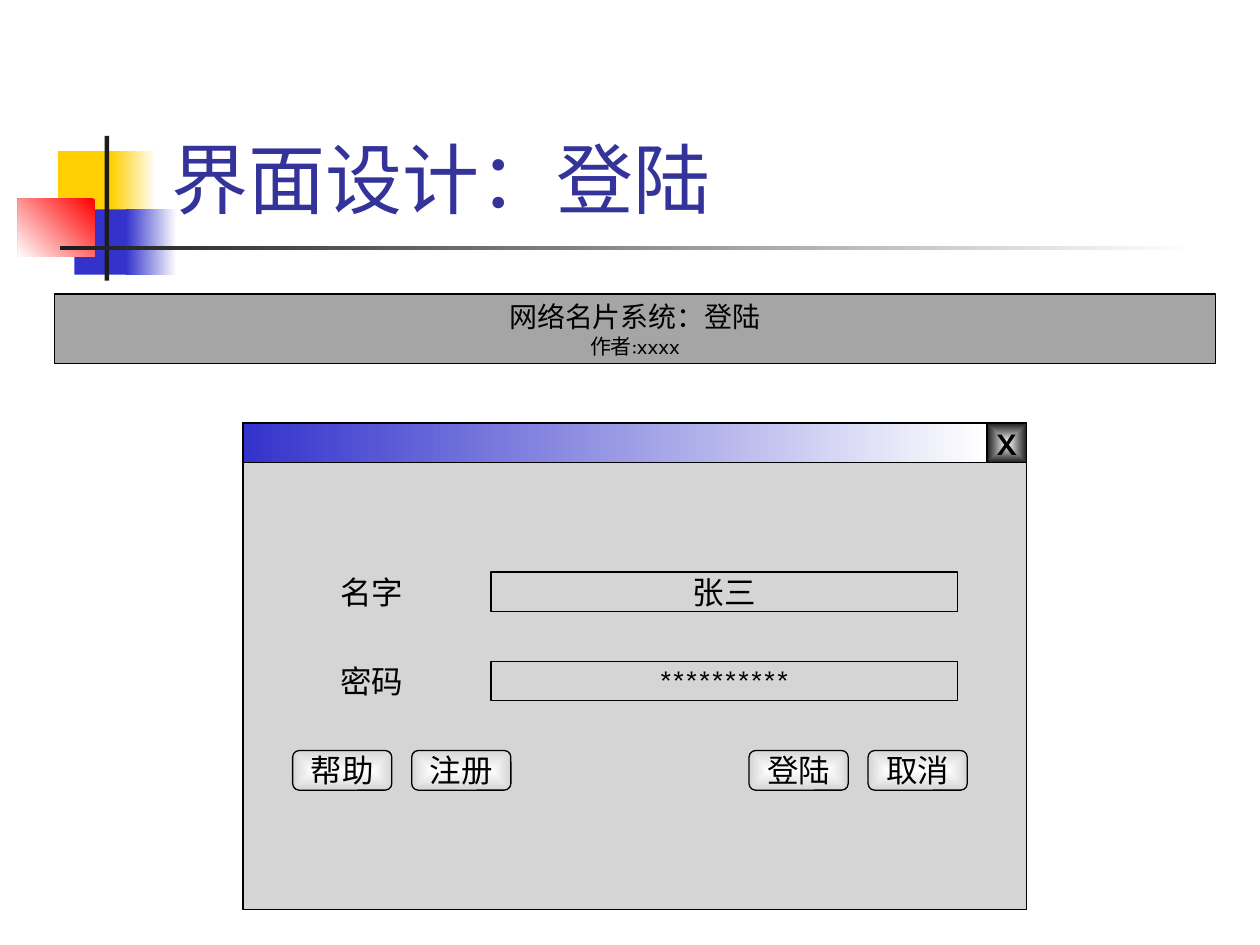
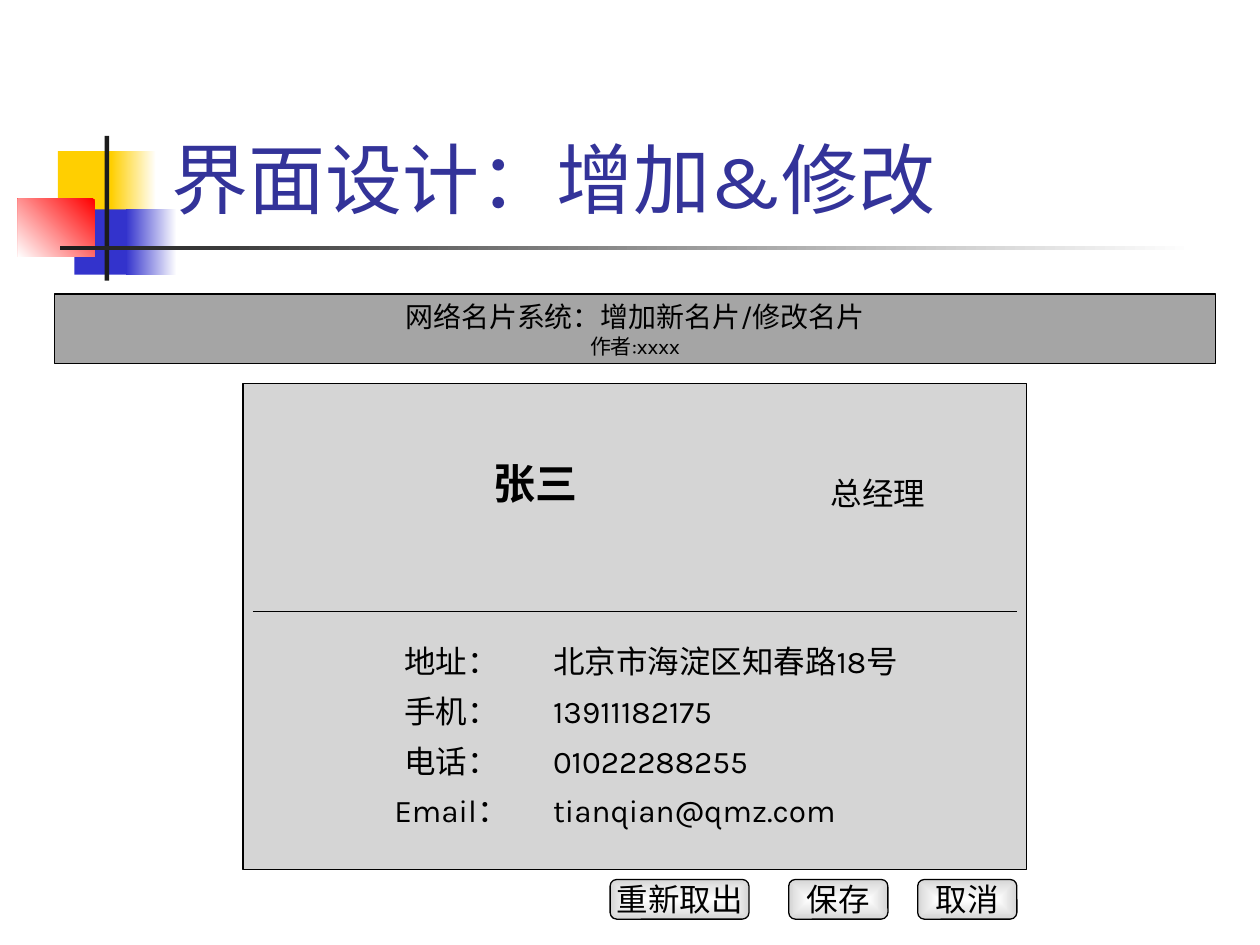
"""Builds two interface design slides: a login window and a business card form."""
from dataclasses import dataclass

from lxml import etree
from pptx import Presentation
from pptx import util as u
from pptx.dml.color import RGBColor
from pptx.enum import shapes, text
from pptx.oxml.ns import qn


@dataclass(frozen=True)
class Theme:
    """Colours, type sizes and line width of the deck."""
    font: str = "Karla"
    title: str = "333399"
    ink: str = "000000"
    white: str = "FFFFFF"
    dark: str = "1C1C1C"
    yellow: str = "FFCF01"
    blue: str = "3333CC"
    red: str = "FF0000"
    panel: str = "D5D5D5"
    band: str = "A5A5A5"
    title_size: int = 44
    name_size: int = 24
    body_size: int = 18
    band_size: int = 16
    note_size: int = 12
    line: float = 0.75


class Deck:
    """Holds the style and the current slide; all lengths are in centimetres."""
    ROW = 0.8        # height of fields and buttons
    LEFT = 4.9       # left edge of windows
    WIDTH = 15.8     # width of windows
    HEIGHT = 9.8     # height of windows

    def __init__(self, theme):
        """Start an empty 4:3 presentation."""
        self.theme = theme
        self.prs = Presentation()
        self.prs.slide_width, self.prs.slide_height = u.Cm(25.4), u.Cm(19.05)
        self.layout = self.prs.slide_layouts[5]
        self.slide = None

    def new_slide(self, title, heading):
        """Add a slide with its title and the grey heading band."""
        t = self.theme
        first = self.slide is None
        self.slide = self.prs.slides.add_slide(self.layout)
        if first:
            self.motif()
        sp = self.slide.shapes.title
        sp.left, sp.top, sp.width, sp.height = map(u.Cm, (3.2, 0.58, 21.64, 4.06))
        self.label(sp, [title], [t.title_size], t.title, text.PP_ALIGN.LEFT)
        sp.text_frame.vertical_anchor = text.MSO_ANCHOR.BOTTOM
        sp.text_frame.word_wrap = True
        sp.text_frame.auto_size = text.MSO_AUTO_SIZE.NONE
        sp = self.box(1.1, 5.93, 23.4, 1.4, t.band, t.ink)
        self.label(sp, [heading, "作者:xxxx"], [t.band_size, t.note_size])

    def motif(self):
        """Draw the coloured squares and rules and move them to the layout."""
        t = self.theme
        parts = [
            self.box(1.17, 3.05, 1.22, 1.32, t.yellow),
            self.fade(self.box(2.24, 3.05, 0.91, 1.32), t.white, t.yellow),
            self.box(1.5, 4.22, 1.17, 1.32, t.blue),
            self.fade(self.box(2.54, 4.22, 1.02, 1.32), t.white, t.blue),
            self.fade(self.box(0.36, 4.01, 1.55, 1.17), t.red, t.white, 225),
            self.box(2.11, 2.74, 0.09, 2.92, t.dark),
            self.fade(self.box(1.22, 4.95, 22.86, 0.09), t.white, t.dark),
        ]
        for number, sp in enumerate(parts, 101):
            sp.element.nvSpPr.cNvPr.set("id", str(number))
            self.layout.shapes.element.append(sp.element)

    def box(self, x, y, w, h, fill=None, line=None,
            kind=shapes.MSO_SHAPE.RECTANGLE):
        """Add a preset shape with a plain fill and an optional outline."""
        sp = self.slide.shapes.add_shape(kind, *map(u.Cm, (x, y, w, h)))
        sp.shadow.inherit = False
        if fill:
            sp.fill.solid()
            sp.fill.fore_color.rgb = RGBColor.from_string(fill)
        if line:
            sp.line.color.rgb = RGBColor.from_string(line)
            sp.line.width = u.Pt(self.theme.line)
        else:
            sp.line.fill.background()
        return sp

    def fade(self, sp, start, end, angle=180):
        """Fill a shape with a two-colour gradient; angle None runs from the centre."""
        sp.fill.gradient()
        for stop, colour, position in zip(sp.fill.gradient_stops, (start, end), (0, 1)):
            stop.color.rgb = RGBColor.from_string(colour)
            stop.position = position
        if angle is not None:
            sp.fill.gradient_angle = angle
            return sp
        grad = sp.element.spPr.find(qn("a:gradFill"))
        grad.remove(grad.find(qn("a:lin")))
        centre = etree.SubElement(grad, qn("a:path"), {"path": "rect"})
        etree.SubElement(centre, qn("a:fillToRect"), dict.fromkeys("ltrb", "50000"))
        return sp

    def label(self, sp, lines, sizes, colour=None, align=text.PP_ALIGN.CENTER,
              bold=False):
        """Put one paragraph per line into a shape and format its runs."""
        tf = sp.text_frame
        tf.text = "\n".join(lines)
        tf.word_wrap = False
        tf.vertical_anchor = text.MSO_ANCHOR.MIDDLE
        for p, size in zip(tf.paragraphs, sizes):
            p.alignment = align
            for r in p.runs:
                r.font.name, r.font.size, r.font.bold = self.theme.font, u.Pt(size), bold
                r.font.color.rgb = RGBColor.from_string(colour or self.theme.ink)

    def window(self, y):
        """Add the grey panel of a window."""
        self.box(self.LEFT, y, self.WIDTH, self.HEIGHT, self.theme.panel, self.theme.ink)

    def title_bar(self, y):
        """Add a blue window bar with its close button."""
        t = self.theme
        bar = self.WIDTH - self.ROW
        self.fade(self.box(self.LEFT, y, bar, self.ROW, line=t.ink), t.white, t.blue)
        sp = self.box(self.LEFT + bar, y, self.ROW, self.ROW, line=t.ink)
        self.fade(sp, t.white, t.dark, None)
        self.label(sp, ["X"], [t.body_size], bold=True)

    def field(self, x, y, w, words, line=None, align=text.PP_ALIGN.CENTER):
        """Add a one-line label or input field."""
        sp = self.box(x, y, w, self.ROW, self.theme.panel, line)
        self.label(sp, [words], [self.theme.body_size], align=align)

    def name(self, x, y, words):
        """Add the large bold name on a card."""
        sp = self.box(x, y, 9.4, 1.6, self.theme.panel)
        self.label(sp, [words], [self.theme.name_size], bold=True)

    def button(self, x, y, words, w=2):
        """Add a rounded push button."""
        t = self.theme
        sp = self.box(x, y, w, self.ROW, line=t.ink,
                      kind=shapes.MSO_SHAPE.ROUNDED_RECTANGLE)
        self.fade(sp, t.white, t.panel, None)
        self.label(sp, [words], [t.body_size])

    def rule(self, x1, x2, y):
        """Add a thin horizontal line."""
        c = self.slide.shapes.add_connector(
            shapes.MSO_CONNECTOR.STRAIGHT, *map(u.Cm, (x1, y, x2, y)))
        c.line.color.rgb = RGBColor.from_string(self.theme.ink)
        c.line.width = u.Pt(self.theme.line)
        etree.SubElement(c.element.spPr, qn("a:effectLst"))


def login_slide(deck):
    """Login window with two fields and four buttons."""
    deck.new_slide("界面设计：登陆", "网络名片系统：登陆")
    deck.window(8.53)
    deck.title_bar(8.53)
    for i, (label, value) in enumerate([("名字", "张三"), ("密码", "*" * 10)]):
        y = 11.53 + 1.8 * i
        deck.field(5.9, y, 3.2, label)
        deck.field(9.9, y, 9.4, value, deck.theme.ink)
    for x, words in [(5.9, "帮助"), (8.3, "注册"), (15.1, "登陆"), (17.5, "取消")]:
        deck.button(x, 15.13, words)


def card_slide(deck):
    """Business card form with contact rows and three buttons."""
    deck.new_slide("界面设计：增加&修改", "网络名片系统：增加新名片/修改名片")
    deck.window(7.73)
    deck.field(16.1, 9.53, 3.2, "总经理")
    deck.name(6.1, 8.93, "张三")
    deck.rule(5.1, 20.5, 12.33)
    contacts = [
        ("地址：", "北京市海淀区知春路18号"),
        ("手机：", "13911182175"),
        ("电话：", "01022288255"),
        ("Email：", "tianqian@qmz.com"),
    ]
    for i, (label, value) in enumerate(contacts):
        deck.field(7.5, 12.93 + i, 3.2, label)
        deck.field(10.9, 12.93 + i, 9.4, value, align=text.PP_ALIGN.LEFT)
    for x, words, w in [(12.3, "重新取出", 2.8), (15.9, "保存", 2), (18.5, "取消", 2)]:
        deck.button(x, 17.73, words, w)


deck = Deck(Theme())
login_slide(deck)
card_slide(deck)
deck.prs.save("out.pptx")
